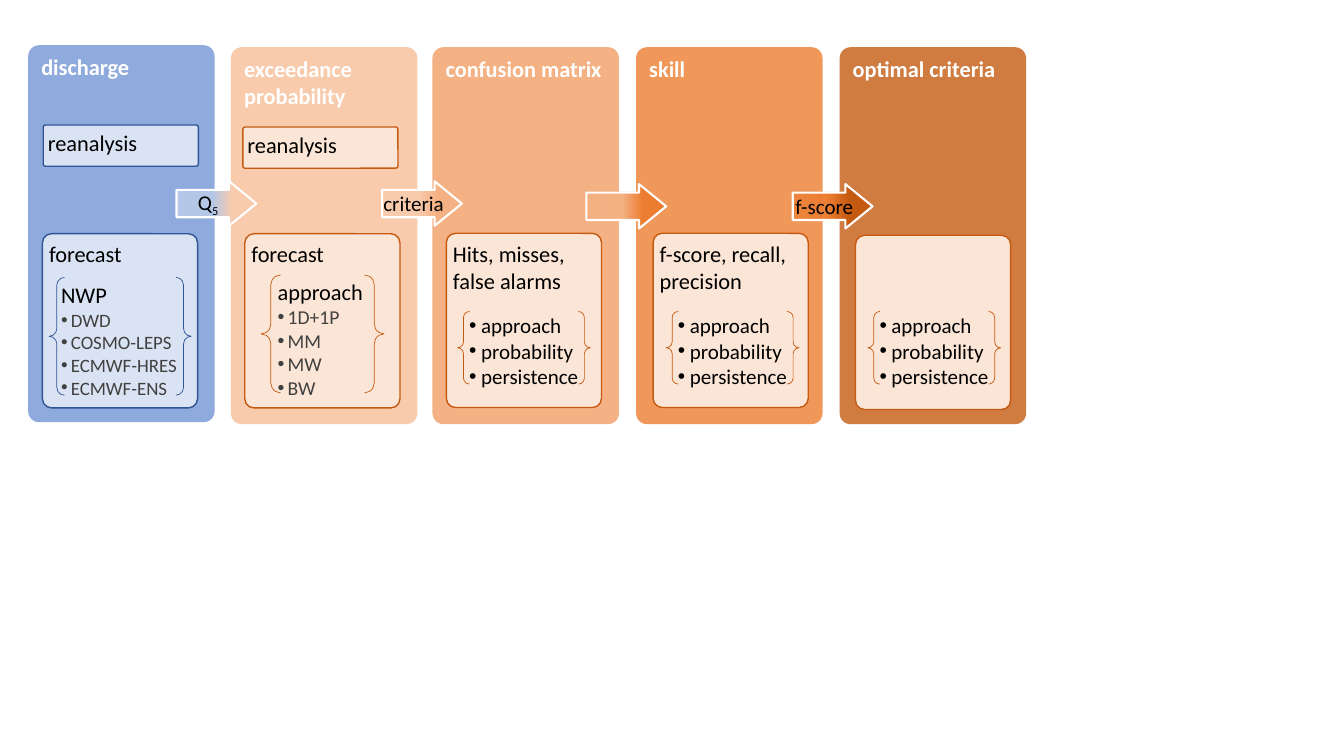
from lxml.etree import SubElement
from pptx import Presentation
from pptx.dml.color import RGBColor
from pptx.enum.shapes import MSO_SHAPE
from pptx.enum.text import MSO_ANCHOR, PP_ALIGN
from pptx.oxml.ns import qn
from pptx.util import Cm, Pt

BLUE = ("DAE3F3", "2F5597")
RUST = ("FBE5D6", "C55A11")
TERMS = ["approach", "probability", "persistence"]


def paint(color, tone):
    color.rgb = RGBColor.from_string(tone)


def fade(node, share):
    if share < 100:
        SubElement(node, qn("a:alpha"), val=str(share * 1000))


def draw(slide, kind, box, fill=None, line=None, width=1, share=100):
    shape = slide.shapes.add_shape(kind, *map(Cm, box))
    shape.shadow.inherit = False
    if fill:
        shape.fill.solid()
        paint(shape.fill.fore_color, fill)
        for node in shape.fill._xPr.iter(qn("a:srgbClr")):
            fade(node, share)
    if line:
        paint(shape.line.color, line)
        shape.line.width = Pt(width)
    else:
        shape.line.fill.background()
    return shape


def setup(shape, pads, anchor=MSO_ANCHOR.TOP):
    frame = shape.text_frame
    frame.word_wrap = True
    frame.vertical_anchor = anchor
    frame.margin_left, frame.margin_top, frame.margin_right, frame.margin_bottom = map(Cm, pads)
    return frame


def write(para, text, size, tone="000000", bold=False):
    run = para.add_run()
    run.text = text
    run.font.name = "Calibri"
    run.font.size = Pt(size)
    run.font.bold = bold
    paint(run.font.color, tone)
    return run


def label(shape, text, pads, tone="000000", bold=False):
    para = setup(shape, pads).paragraphs[0]
    para.alignment = PP_ALIGN.LEFT
    write(para, text, 16, tone, bold)


def card(slide, left, top, fill, title, share=100):
    shape = draw(slide, MSO_SHAPE.ROUNDED_RECTANGLE, (left, top, 4.7, 9.5), fill, share=share)
    shape.adjustments[0] = 0.059
    label(shape, title, (0.25, 0.13, 0.25, 0.13), "FFFFFF", True)


def panel(slide, left, top, high, tones, text):
    shape = draw(slide, MSO_SHAPE.ROUNDED_RECTANGLE, (left, top, 3.91, high), *tones)
    shape.adjustments[0] = 0.059
    if text:
        label(shape, text, (0.1, 0.1, 0.1, 0.1))


def bullet(para, indent):
    props = para._p.get_or_add_pPr()
    props.set("marL", str(Cm(indent)))
    props.set("indent", str(-Cm(indent)))
    SubElement(props, qn("a:buFont"), typeface="Arial")
    SubElement(props, qn("a:buChar"), char="•")


def brace(slide, box, tones, pads, items, size, head="", tone="000000", indent=0.3, bend=0.083):
    shape = draw(slide, MSO_SHAPE.DOUBLE_BRACE, box, *tones, width=0.5)
    shape.adjustments[0] = bend
    frame = setup(shape, pads, MSO_ANCHOR.MIDDLE)
    lines = ([head] if head else []) + items
    for spot, text in enumerate(lines):
        para = frame.add_paragraph() if spot else frame.paragraphs[0]
        para.alignment = PP_ALIGN.LEFT
        if text == head:
            write(para, text, 16)
        else:
            bullet(para, indent)
            write(para, text, size, tone)


def blend(shape, start, end, share):
    shape.fill.gradient()
    shape.fill.gradient_angle = 0
    stops = shape.fill._xPr.find(qn("a:gradFill")).find(qn("a:gsLst"))
    for stop in list(stops):
        stops.remove(stop)
    for spot, tone, part in ((0, start, share), (45, start, 100), (70, end, 100), (100, end, 100)):
        stop = SubElement(stops, qn("a:gs"), pos=str(spot * 1000))
        fade(SubElement(stop, qn("a:srgbClr"), val=tone), part)


def arrow(slide, left, top, start, end, text="", sub="", share=100):
    shape = draw(slide, MSO_SHAPE.RIGHT_ARROW, (left, top, 2.01, 1.12), line="FFFFFF", width=1.5)
    shape.adjustments[0] = 0.617
    shape.adjustments[1] = 0.611
    blend(shape, start, end, share)
    if text:
        para = setup(shape, (0, 0, 0, 0), MSO_ANCHOR.MIDDLE).paragraphs[0]
        para.alignment = PP_ALIGN.CENTER
        write(para, text, 15)
        if sub:
            run = write(para, sub, 15)
            run._r.get_or_add_rPr().set("baseline", "-25000")


def main():
    deck = Presentation()
    deck.slide_width, deck.slide_height = Cm(33.87), Cm(19.05)
    slide = deck.slides.add_slide(deck.slide_layouts[6])

    card(slide, 0.71, 1.14, "8FAADC", "discharge")
    card(slide, 5.82, 1.19, "F8CBAD", "exceedance probability")
    card(slide, 10.9, 1.19, "F4B183", "confusion matrix")
    card(slide, 16.03, 1.19, "ED7D31", "skill", 80)
    card(slide, 21.16, 1.19, "C55A11", "optimal criteria", 80)

    panel(slide, 1.09, 3.15, 1.04, BLUE, "reanalysis")
    panel(slide, 6.12, 3.2, 1.04, RUST, "reanalysis")
    panel(slide, 1.07, 5.89, 4.39, BLUE, "forecast")
    panel(slide, 6.17, 5.89, 4.39, RUST, "forecast")
    panel(slide, 11.25, 5.88, 4.39, RUST, "Hits, misses, false alarms")
    panel(slide, 16.46, 5.88, 4.39, RUST, "f-score, recall, precision")
    panel(slide, 21.56, 5.93, 4.39, RUST, "")

    brace(slide, (1.24, 6.99, 3.58, 2.97), BLUE, (0.05, 0, 0.1, 0),
          ["DWD", "COSMO-LEPS", "ECMWF-HRES", "ECMWF-ENS"],
          13.5, "NWP", "404040", 0.25, 0.065)
    brace(slide, (6.58, 6.93, 3.1, 2.97), RUST, (0.1, 0, 0, 0),
          ["1D+1P", "MM", "MW", "BW"], 14, "approach", "404040", 0.25)
    for left in (11.53, 16.79, 21.87):
        brace(slide, (left, 7.85, 3.35, 1.83), RUST, (0.1, 0, 0.1, 0), TERMS, 15)

    arrow(slide, 4.45, 4.57, "B4C7E7", "F8CBAD", "Q", "5")
    arrow(slide, 9.63, 4.57, "F8CBAD", "F4B183", "criteria")
    arrow(slide, 14.78, 4.64, "F4B183", "ED7D31", share=80)
    arrow(slide, 19.98, 4.64, "ED7D31", "C55A11", "f-score", share=60)

    deck.save("out.pptx")


if __name__ == "__main__":
    main()
